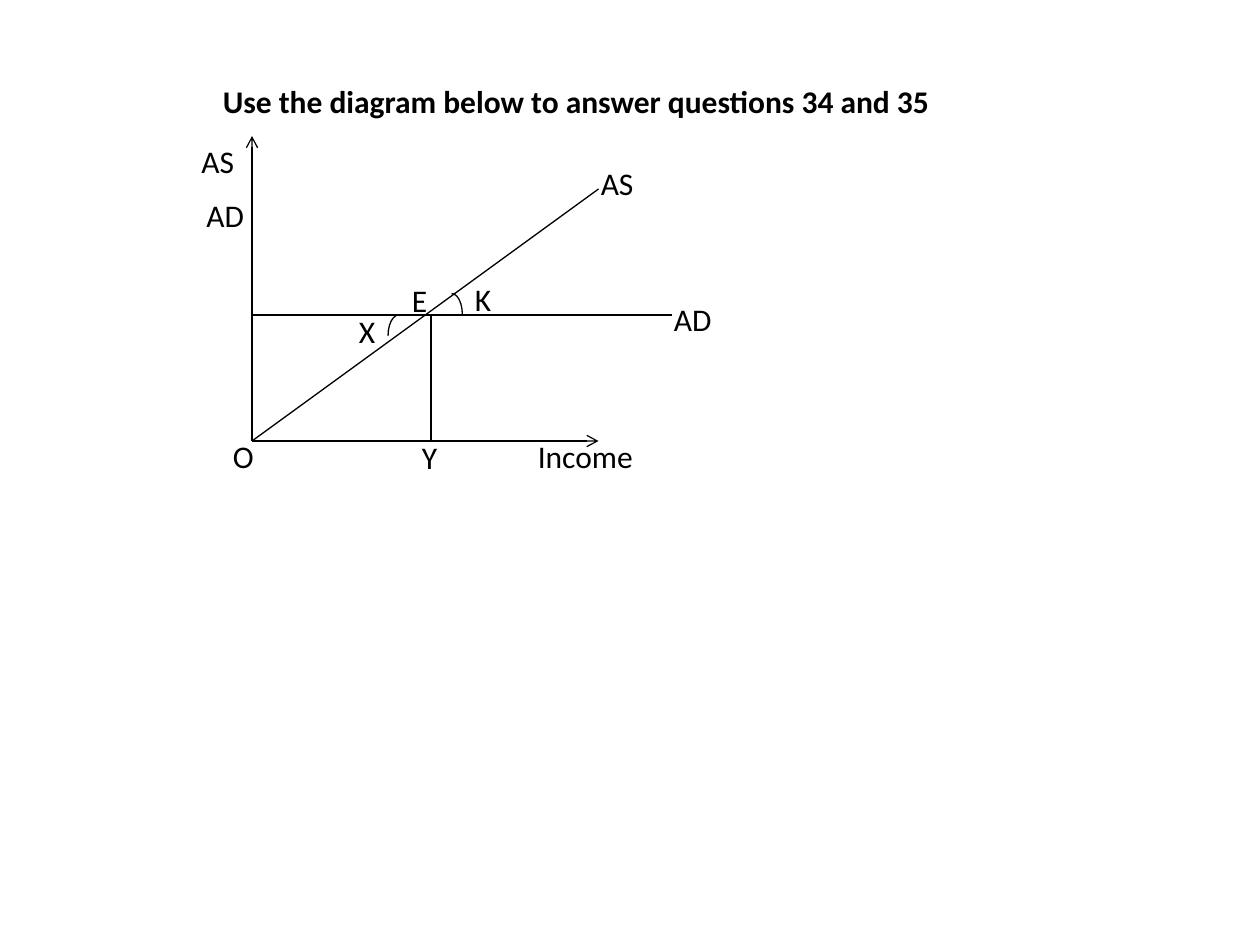
from dataclasses import dataclass

from lxml.etree import SubElement
from pptx import Presentation
from pptx.dml.color import RGBColor
from pptx.enum.shapes import MSO_CONNECTOR as Conn, MSO_SHAPE as Shape
from pptx.enum.text import MSO_AUTO_SIZE as Fit
from pptx.oxml.ns import qn
from pptx.util import Inches, Pt


@dataclass(frozen=True)
class Theme:
    ink: RGBColor = RGBColor(0, 0, 0)
    font: str = "Calibri"
    size: Pt = Pt(18)
    line: Pt = Pt(0.75)


THEME = Theme()


def add_text(slide, x, y, w, h, text, bold=None):
    box = slide.shapes.add_textbox(Inches(x), Inches(y), Inches(w), Inches(h))
    frame = box.text_frame
    frame.word_wrap = False
    frame.auto_size = Fit.SHAPE_TO_FIT_TEXT
    para = frame.paragraphs[0]
    para.text = text
    font = para.font
    font.name, font.size, font.bold = THEME.font, THEME.size, bold
    font.color.rgb = THEME.ink


def set_line(shape):
    shape.line.color.rgb = THEME.ink
    shape.line.width = THEME.line


def add_line(slide, start, end, arrow=False):
    line = slide.shapes.add_connector(
        Conn.STRAIGHT, *(Inches(v) for v in (*start, *end)))
    set_line(line)
    if arrow:
        SubElement(line.line._get_or_add_ln(), qn("a:tailEnd"), type="arrow")
    SubElement(line._element.spPr, qn("a:effectLst"))


def add_arc(slide, x, y, flip=False):
    arc = slide.shapes.add_shape(
        Shape.ARC, Inches(x), Inches(y), Inches(0.17), Inches(0.33))
    arc.shadow.inherit = False
    arc.fill.background()
    set_line(arc)
    if flip:
        arc._element.spPr.find(qn("a:xfrm")).set("flipH", "1")


def add_graph(slide, x, y, w, h):
    def at(dx, dy):
        return x + dx, y + dy

    # Axes
    left, base, run = 0.5, 2.42, 2.75
    zero = at(left, base)
    add_line(slide, zero, at(left, 0), arrow=True)
    add_line(slide, zero, at(left + run, base), arrow=True)

    # Demand, supply and the drop from equilibrium to income
    level, income = base - 1, 1.92
    add_line(slide, at(left, level), at(3.83, level))
    add_line(slide, zero, at(left + run, base - 2))
    add_line(slide, at(income, level), at(income, base))

    # Angle marks
    add_arc(slide, *at(2, 1.25))
    add_arc(slide, *at(1.58, level), flip=True)

    # Labels
    labels = [
        ("AS", 0, 0, 0.46), ("AD", 0.04, 0.43, 0.5),
        ("AS", 3.17, 0.17, 0.46), ("AD", 3.75, 1.25, 0.5),
        ("E", 1.67, 1.1, 0.32), ("K", 2.17, 1.09, 0.33),
        ("X", 1.25, 1.35, 0.33), ("O", 0.25, 2.34, 0.37),
        ("Y", 1.75, 2.35, 0.32), ("Income", 2.67, 2.34, 1.02),
    ]
    for text, dx, dy, wide in labels:
        add_text(slide, *at(dx, dy), wide, 0.4, text)


def main():
    deck = Presentation()
    deck.slide_width, deck.slide_height = Inches(10), Inches(7.5)
    slide = deck.slides.add_slide(deck.slide_layouts[6])
    add_graph(slide, 1.5, 1.08, 4.25, 2.75)
    # Heading
    add_text(slide, 1.67, 0.6, 5.86, 0.4,
             "Use the diagram below to answer questions 34 and 35", bold=True)
    deck.save("out.pptx")


if __name__ == "__main__":
    main()
